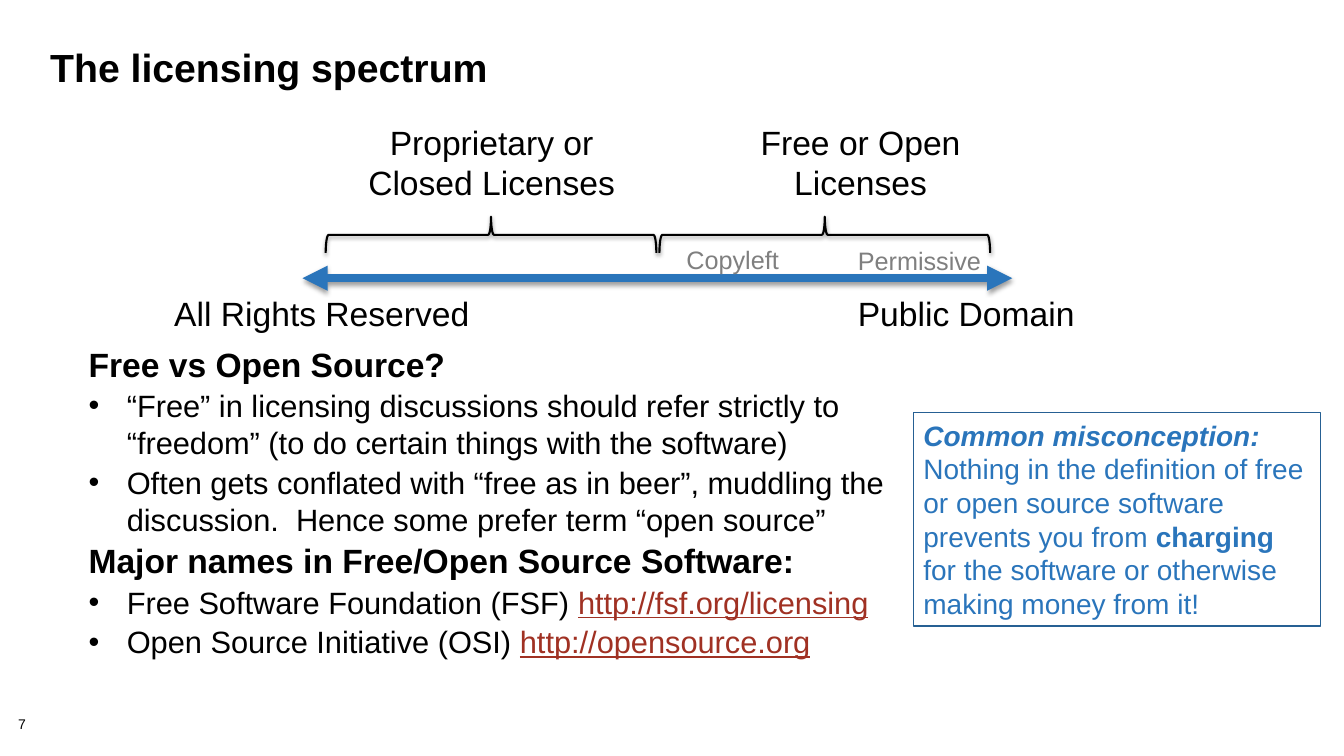
import dataclasses
import typing

import lxml.etree
import pptx
import pptx.dml.color
import pptx.enum.shapes
import pptx.enum.text
import pptx.oxml.ns
import pptx.util

SCALE = 9144
Color = pptx.dml.color.RGBColor
Align = pptx.enum.text.PP_ALIGN
Shape = pptx.enum.shapes.MSO_SHAPE


@dataclasses.dataclass(frozen=True)
class Theme:
    font: str = "Arial"
    black: str = "000000"
    gray: str = "7F7F7F"
    blue: str = "2A75BB"
    edge: str = "266093"
    link: str = "A03123"
    title: int = 28
    head: int = 24
    body: int = 22
    note: int = 20
    tag: int = 18
    page: int = 10


THEME = Theme()


class Box(typing.NamedTuple):
    left: int
    top: int
    width: int
    height: int


@dataclasses.dataclass(frozen=True)
class Span:
    text: str
    size: int
    color: str = THEME.black
    bold: bool = False
    slant: bool = False
    under: bool = False


@dataclasses.dataclass(frozen=True)
class Para:
    spans: tuple[Span, ...]
    bullet: bool = False
    align: Align = Align.LEFT
    line: float = 1.0


@dataclasses.dataclass(frozen=True)
class Label:
    box: Box
    paras: tuple[Para, ...]
    wrap: bool = True
    grow: bool = True
    inset: bool = True


def px(value: int) -> int:
    return pptx.util.Emu(value * SCALE)


def place(box: Box) -> list[int]:
    return [px(value) for value in box]


def plain(text: str, size: int, color: str = THEME.black, bold: bool = False,
          align: Align = Align.LEFT, line: float = 1.0) -> tuple[Para, ...]:
    return (Para((Span(text, size, color, bold),), align=align, line=line),)


def head(text: str) -> Para:
    return Para((Span(text, THEME.head, bold=True),))


def item(text: str, link: str = "") -> Para:
    spans = [Span(text, THEME.body)]
    if link:
        spans.append(Span(link, THEME.body, THEME.link, under=True))
    return Para(tuple(spans), bullet=True)


def add_node(parent: typing.Any, tag: str, **attrs: str) -> typing.Any:
    return lxml.etree.SubElement(parent, pptx.oxml.ns.qn(tag), attrs)


def add_bullet(para: typing.Any) -> None:
    props = para._p.get_or_add_pPr()
    props.set("marL", str(px(38)))
    props.set("indent", str(px(-38)))
    add_node(props, "a:buFont", typeface=THEME.font)
    add_node(props, "a:buChar", char="•")


def fill_text(frame: typing.Any, paras: tuple[Para, ...]) -> None:
    for index, data in enumerate(paras):
        para = frame.paragraphs[0] if index == 0 else frame.add_paragraph()
        para.text = data.spans[0].text
        for span in data.spans[1:]:
            para.add_run().text = span.text
        if data.bullet:
            add_bullet(para)
        para.alignment = data.align
        para.line_spacing = data.line
        if index:
            para.space_before = pptx.util.Pt(2)
        for run, span in zip(para.runs, data.spans):
            run.font.name = THEME.font
            run.font.size = pptx.util.Pt(span.size)
            run.font.bold = span.bold
            run.font.italic = span.slant
            run.font.underline = span.under
            run.font.color.rgb = Color.from_string(span.color)


def add_label(slide: typing.Any, label: Label) -> None:
    frame = slide.shapes.add_textbox(*place(label.box)).text_frame
    frame.word_wrap = label.wrap
    if label.grow:
        frame.auto_size = pptx.enum.text.MSO_AUTO_SIZE.SHAPE_TO_FIT_TEXT
    if not label.inset:
        frame.margin_left = frame.margin_right = 0
        frame.margin_top = frame.margin_bottom = 0
    fill_text(frame, label.paras)


def set_line(shape: typing.Any, color: str, width: float) -> None:
    shape.line.color.rgb = Color.from_string(color)
    shape.line.width = pptx.util.Pt(width)


def add_shade(shape: typing.Any) -> None:
    effects = add_node(shape._element.spPr, "a:effectLst")
    shade = add_node(effects, "a:outerShdw", blurRad=str(pptx.util.Pt(3.1)),
                     dist=str(pptx.util.Pt(1.6)), dir="5400000", rotWithShape="0")
    color = add_node(shade, "a:srgbClr", val=THEME.black)
    add_node(color, "a:alpha", val="38000")


def add_arrow(slide: typing.Any, left: int, right: int, top: int) -> None:
    arrow = slide.shapes.add_connector(
        pptx.enum.shapes.MSO_CONNECTOR.STRAIGHT, px(left), px(top), px(right), px(top))
    set_line(arrow, THEME.blue, 6)
    line = arrow._element.spPr.find(pptx.oxml.ns.qn("a:ln"))
    for end in ("a:headEnd", "a:tailEnd"):
        add_node(line, end, type="triangle")
    add_shade(arrow)


def add_brace(slide: typing.Any, box: Box) -> None:
    brace = slide.shapes.add_shape(Shape.LEFT_BRACE, *place(box))
    brace.rotation = 90
    brace.adjustments[0] = 0.08
    brace.adjustments[1] = 0.5
    brace.fill.background()
    set_line(brace, THEME.black, 1.5)
    add_shade(brace)


def add_note(slide: typing.Any, box: Box, paras: tuple[Para, ...]) -> None:
    note = slide.shapes.add_shape(Shape.RECTANGLE, *place(box))
    note.shadow.inherit = False
    note.fill.background()
    set_line(note, THEME.edge, 1)
    note.text_frame.word_wrap = True
    note.text_frame.vertical_anchor = pptx.enum.text.MSO_ANCHOR.MIDDLE
    fill_text(note.text_frame, paras)


LABELS = (
    Label(Box(18, 712, 56, 16), plain("7", THEME.page, line=0.9), grow=False, inset=False),
    Label(Box(40, 45, 1244, 56),
          plain("The licensing spectrum", THEME.title, bold=True, line=0.85), grow=False),
    Label(Box(163, 286, 316, 50), plain("All Rights Reserved", THEME.head), wrap=False),
    Label(Box(841, 286, 271, 50), plain("Public Domain", THEME.head)),
    Label(Box(332, 116, 311, 91),
          plain("Proprietary or Closed Licenses", THEME.head, align=Align.CENTER)),
    Label(Box(722, 116, 263, 91),
          plain("Free or Open Licenses", THEME.head, align=Align.CENTER)),
    Label(Box(78, 336, 817, 327), (
        head("Free vs Open Source?"),
        item("“Free” in licensing discussions should refer strictly to "
             "“freedom” (to do certain things with the software)"),
        item("Often gets conflated with “free as in beer”, muddling the "
             "discussion.  Hence some prefer term “open source”"),
        head("Major names in Free/Open Source Software:"),
        item("Free Software Foundation (FSF) ", "http://fsf.org/licensing"),
        item("Open Source Initiative (OSI) ", "http://opensource.org"))),
    Label(Box(671, 237, 113, 40), plain("Copyleft", THEME.tag, THEME.gray), wrap=False),
    Label(Box(841, 238, 144, 40), plain("Permissive", THEME.tag, THEME.gray), wrap=False),
)
NOTE = (Para((
    Span("Common misconception: ", THEME.note, THEME.blue, bold=True, slant=True),
    Span("Nothing in the definition of free or open source software prevents you from ",
         THEME.note, THEME.blue),
    Span("charging", THEME.note, THEME.blue, bold=True),
    Span(" for the software or otherwise making money from it!", THEME.note, THEME.blue))),)


def main() -> None:
    deck = pptx.Presentation()
    deck.slide_width, deck.slide_height = px(1333), px(750)
    slide = deck.slides.add_slide(deck.slide_layouts[6])
    add_arrow(slide, 300, 1004, 276)
    for left in (469, 800):
        add_brace(slide, Box(left, 69, 36, 328))
    for label in LABELS:
        add_label(slide, label)
    add_note(slide, Box(906, 409, 404, 212), NOTE)
    deck.save("out.pptx")


if __name__ == "__main__":
    main()
